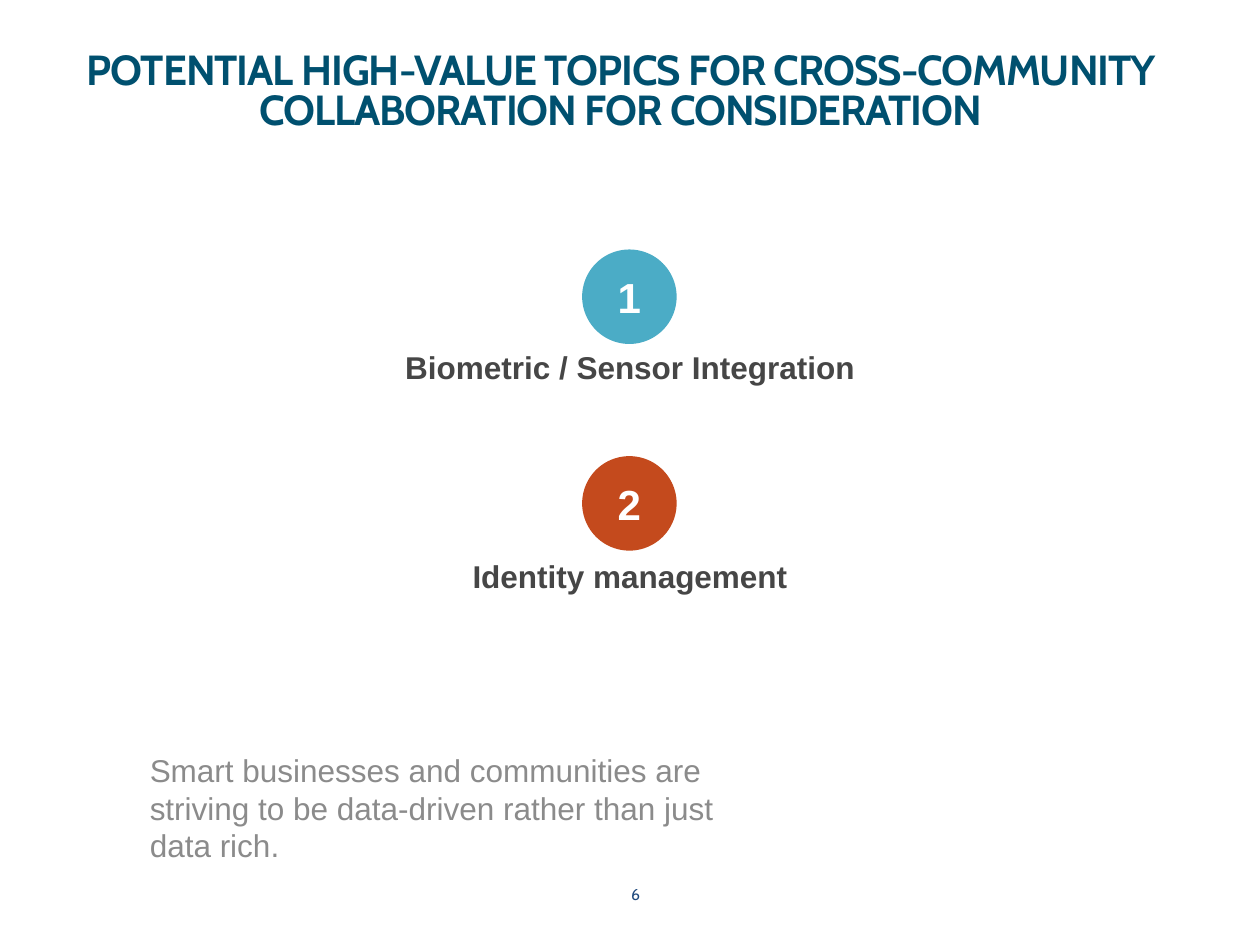
from pptx import Presentation
from pptx import util as u
from pptx.dml.color import RGBColor
from pptx.enum import shapes, text

TITLE = "POTENTIAL HIGH-VALUE TOPICS FOR CROSS-COMMUNITY COLLABORATION FOR CONSIDERATION"
TOPICS = [("Biometric / Sensor Integration", "4BACC6"), ("Identity management", "C44A1D")]
TAKEAWAY = "Smart businesses and communities are striving to be data-driven rather than just data rich."
PAGE_NUMBER = "6"

THEME = {  # font, size, colour, bold
    "title": ("Cabin", 24, "00506F", True),
    "badge": ("Arial", 24, "FFFFFF", True),
    "topic": ("Arial", 18, "464646", True),
    "takeaway": ("Arial", 18, "8B8B8B", False),
    "page": ("Cabin", 9, "1F497D", False),
}
BADGE_LEFT, BADGE_TOP, BADGE_SIZE, BADGE_PITCH = 4.62, 1.98, 0.75, 1.64
TOPIC_GAP = 98  # points between the topic lines, one beside each badge
CENTER, LEFT = text.PP_ALIGN.CENTER, text.PP_ALIGN.LEFT


def style_text(frame, style, align):
    name, size, color, bold = THEME[style]
    frame.word_wrap = True
    for paragraph in frame.paragraphs:
        paragraph.alignment = align
        for run in paragraph.runs:
            run.font.name, run.font.size, run.font.bold = name, u.Pt(size), bold
            run.font.color.rgb = RGBColor.from_string(color)


def add_text(slide, box, content, style, align=CENTER):
    frame = slide.shapes.add_textbox(*map(u.Inches, box)).text_frame
    frame.text = content
    style_text(frame, style, align)
    return frame


def add_badge(slide, index, color):
    top = BADGE_TOP + index * BADGE_PITCH
    badge = slide.shapes.add_shape(
        shapes.MSO_SHAPE.OVAL, *map(u.Inches, (BADGE_LEFT, top, BADGE_SIZE, BADGE_SIZE)))
    badge.shadow.inherit = False
    badge.fill.solid()
    badge.fill.fore_color.rgb = RGBColor.from_string(color)
    badge.line.fill.background()
    badge.text_frame.text = str(index + 1)
    badge.text_frame.vertical_anchor = text.MSO_ANCHOR.MIDDLE
    style_text(badge.text_frame, "badge", CENTER)


def main():
    presentation = Presentation()
    presentation.slide_width, presentation.slide_height = u.Inches(10), u.Inches(7.5)
    slide = presentation.slides.add_slide(presentation.slide_layouts[6])

    title = add_text(slide, (0.5, 0.42, 8.85, 1.55), TITLE, "title")
    title.margin_left = title.margin_right = title.margin_top = title.margin_bottom = 0
    title.paragraphs[0].line_spacing = 0.8
    title.paragraphs[0].runs[0].font._element.set("spc", "-60")

    add_text(slide, (3.88, 6.97, 2.33, 0.4), PAGE_NUMBER, "page")

    labels = "\n".join(label for label, _ in TOPICS)
    topics = add_text(slide, (0.99, 2.71, 8.02, 2.07), labels, "topic")
    for paragraph in topics.paragraphs[1:]:
        paragraph.space_before = u.Pt(TOPIC_GAP)
    for index, (_, color) in enumerate(TOPICS):
        add_badge(slide, index, color)

    add_text(slide, (1.09, 5.91, 4.71, 1.01), TAKEAWAY, "takeaway", LEFT)
    presentation.save("out.pptx")


if __name__ == "__main__":
    main()
